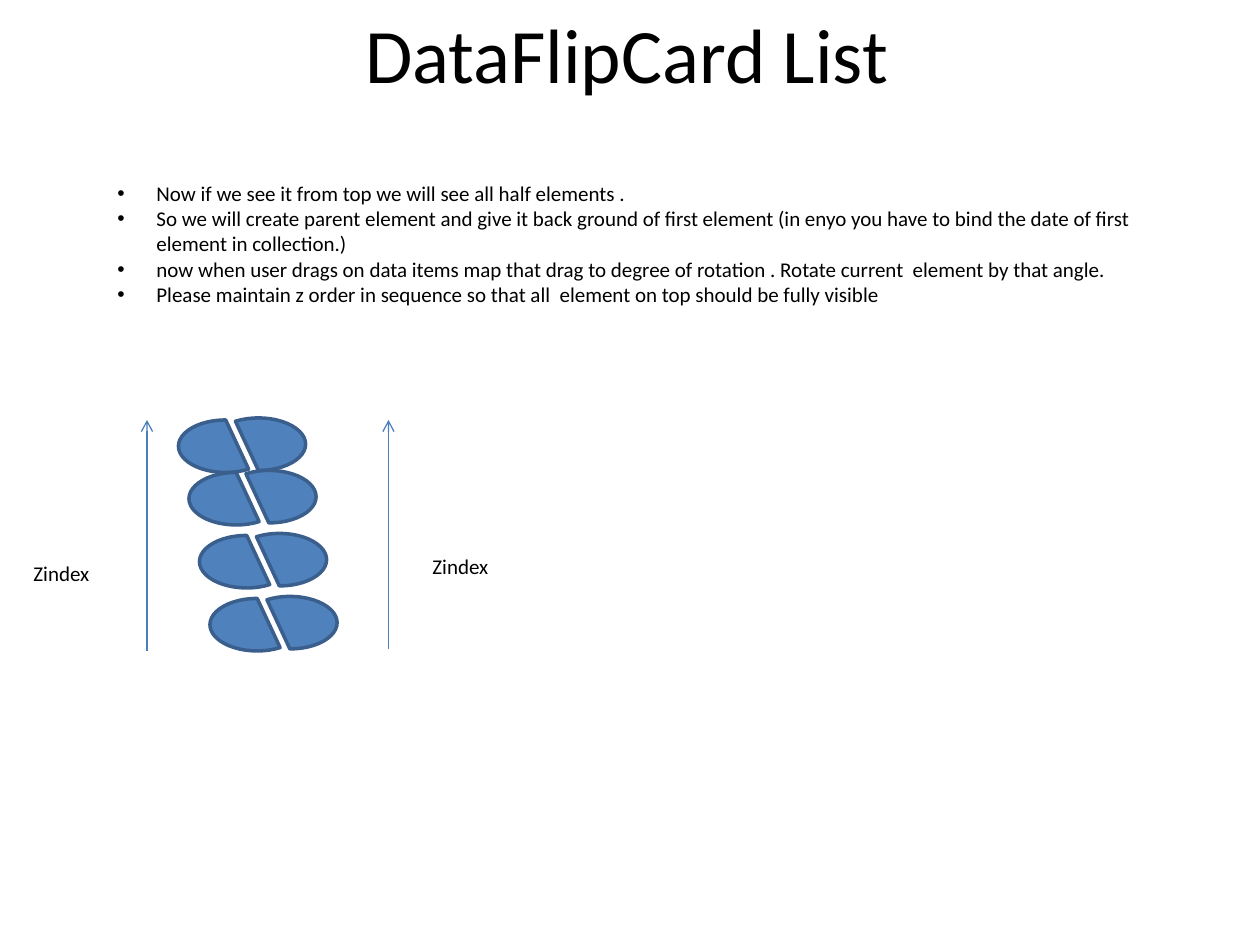
import pptx
import pptx.dml.color
import pptx.enum.shapes
import pptx.enum.text
import pptx.oxml
import pptx.oxml.ns
import pptx.util
from lxml import etree

RGBColor = pptx.dml.color.RGBColor
Align = pptx.enum.text.PP_ALIGN
BLACK = RGBColor(0x00, 0x00, 0x00)
CARD_FILL = RGBColor(0x4F, 0x81, 0xBD)
CARD_EDGE = RGBColor(0x3A, 0x5F, 0x8C)
ARROW_BLUE = RGBColor(0x4B, 0x7E, 0xBC)

# The slide is a grid of 120 columns by 90 rows
CELL = pptx.util.Inches(10) / 120
COLUMNS, ROWS = 120, 90

TITLE_FORMAT = {"name": "Calibri", "size": pptx.util.Pt(44)}
TEXT_FORMAT = {"name": "Calibri", "size": pptx.util.Pt(12)}

STEPS = [
    "Now if we see it from top we will see all half elements .",
    "So we will create parent element and give it back ground of first element "
    "(in enyo you have to bind the date of first element in collection.)",
    "now when user drags on data items map that drag to degree of rotation . "
    "Rotate current  element by that angle.",
    "Please maintain z order in sequence so that all  element on top should be "
    "fully visible",
]
CARD_ROWS = [40, 45, 51, 57]


def cells(*counts):
    """Turn grid counts into lengths."""
    return [round(count * CELL) for count in counts]


def add_bullet(para):
    properties = para._p.get_or_add_pPr()
    properties.set("marL", str(pptx.util.Inches(0.81)))
    properties.set("indent", str(-pptx.util.Inches(0.31)))
    for tag, key, value in [("a:buFont", "typeface", "Arial"),
                            ("a:buChar", "char", "•")]:
        element = etree.SubElement(properties, pptx.oxml.ns.qn(tag))
        element.set(key, value)


def add_text(page, place, lines, font_format, align=Align.LEFT, bullets=False,
             wrap=True):
    box = page.shapes.add_textbox(*cells(*place))
    frame = box.text_frame
    frame.word_wrap = wrap
    for index, line in enumerate(lines):
        para = frame.paragraphs[0] if index == 0 else frame.add_paragraph()
        para.alignment = align
        if bullets:
            add_bullet(para)
        span = para.add_run()
        span.text = line
        span.font.color.rgb = BLACK
        for name, value in font_format.items():
            setattr(span.font, name, value)
    return box


def add_half(page, column, row, rotation):
    half = page.shapes.add_shape(pptx.enum.shapes.MSO_SHAPE.CHORD,
                                 *cells(column, row, 9, 5))
    half.rotation = rotation
    half.shadow.inherit = False
    half.fill.solid()
    half.fill.fore_color.rgb = CARD_FILL
    half.line.color.rgb = CARD_EDGE
    half.line.width = pptx.util.Pt(2)


def add_card(page, column, row):
    """Two facing halves make one flip card."""
    add_half(page, column, row, 0)
    add_half(page, column + 3.1, row - 0.2, 180)


def add_arrow(page, column, bottom, top):
    arrow = page.shapes.add_connector(pptx.enum.shapes.MSO_CONNECTOR.STRAIGHT,
                                      *cells(column, bottom, column, top))
    arrow.line.color.rgb = ARROW_BLUE
    arrow.line.width = pptx.util.Pt(0.75)
    head = etree.SubElement(arrow.line._get_or_add_ln(),
                            pptx.oxml.ns.qn("a:tailEnd"))
    head.set("type", "arrow")
    etree.SubElement(arrow._element.spPr, pptx.oxml.ns.qn("a:effectLst"))


def main():
    deck = pptx.Presentation()
    deck.slide_width, deck.slide_height = cells(COLUMNS, ROWS)
    page = deck.slides.add_slide(deck.slide_layouts[6])

    # Title and steps
    add_text(page, (4.2, 0, 111, 10.1), ["DataFlipCard List"], TITLE_FORMAT,
             align=Align.CENTER)
    steps = add_text(page, (4, 13, 107, 19.4), STEPS, TEXT_FORMAT, bullets=True)
    steps.text_frame.margin_top = pptx.util.Inches(0.35)

    # Stack of cards, each one column further right
    for index, row in enumerate(CARD_ROWS):
        add_card(page, 17 + index, row)

    # Stacking order on both sides
    for column, bottom in [(14, 62), (37, 61.8)]:
        add_arrow(page, column, bottom, 40)
    for column, row in [(2, 52.8), (40, 52.1)]:
        add_text(page, (column, row, 8, 3.6), ["Zindex"], TEXT_FORMAT, wrap=False)

    deck.save("out.pptx")


if __name__ == "__main__":
    main()
